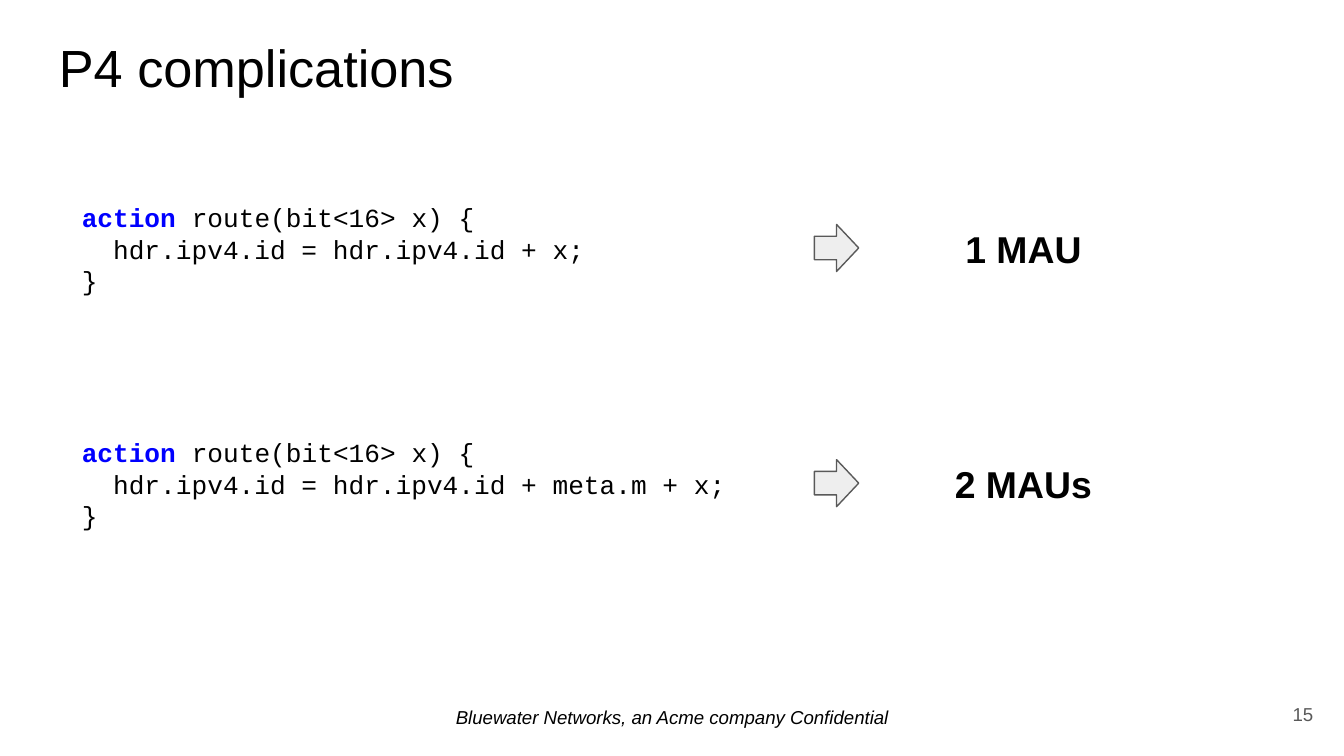
import pptx
import pptx.dml.color
import pptx.enum.shapes
import pptx.enum.text
import pptx.util
from pptx.util import Inches

ALIGN = pptx.enum.text.PP_ALIGN
ANCHOR = pptx.enum.text.MSO_ANCHOR


def color(hex_value):
    return pptx.dml.color.RGBColor.from_string(hex_value)


def add_text(box, lines, size, font="Arial", align=ALIGN.LEFT, ink="000000",
             bold=False, italic=False, anchor=ANCHOR.TOP):
    """Add a text box; box is (left, top, width, height) in inches."""
    tf = slide.shapes.add_textbox(*map(Inches, box)).text_frame
    tf.word_wrap = True
    tf.vertical_anchor = anchor
    tf.margin_left = tf.margin_right = Inches(0.1)
    tf.margin_top = tf.margin_bottom = Inches(0.1)
    tf.text = "\n".join(lines)
    for p in tf.paragraphs:
        p.alignment = align
        p.font.name = font
        p.font.size = pptx.util.Pt(size)
        p.font.bold = bold
        p.font.italic = italic
        p.font.color.rgb = color(ink)
    return tf


prs = pptx.Presentation()
prs.slide_width = Inches(10)
prs.slide_height = Inches(10 * 9 / 16)
slide = prs.slides.add_slide(prs.slide_layouts[6])

add_text((0, 5.17, 10, 0.32), ["Bluewater Networks, an Acme company Confidential"],
         10, align=ALIGN.CENTER, italic=True)
add_text((0.34, 0.16, 9.32, 0.63), ["P4 complications"], 28)
add_text((9.27, 5.1, 0.6, 0.43), ["15"], 10, align=ALIGN.RIGHT, ink="595959",
         anchor=ANCHOR.MIDDLE)

examples = [
    ("hdr.ipv4.id + x", "1 MAU"),
    ("hdr.ipv4.id + meta.m + x", "2 MAUs"),
]
for i, (expression, cost) in enumerate(examples):
    top = 1.4 + 1.75 * i

    tf = add_text((0.51, top, 5.08, 0.9),
                  ["", f"  hdr.ipv4.id = {expression};", "}"], 14, font="Courier New")
    p = tf.paragraphs[0]
    keyword = p.add_run()
    keyword.text = "action"
    keyword.font.bold = True
    keyword.font.color.rgb = color("0000FF")
    p.add_run().text = " route(bit<16> x) {"

    arrow = slide.shapes.add_shape(pptx.enum.shapes.MSO_SHAPE.RIGHT_ARROW, Inches(6.06),
                                   Inches(top + 0.27), Inches(0.33), Inches(0.35))
    arrow.shadow.inherit = False
    arrow.fill.solid()
    arrow.fill.fore_color.rgb = color("EEEEEE")
    arrow.line.color.rgb = color("595959")
    arrow.line.width = pptx.util.Pt(0.75)

    add_text((6.54, top + 0.18, 2.15, 0.53), [cost], 20, align=ALIGN.CENTER, bold=True)

prs.save("out.pptx")
